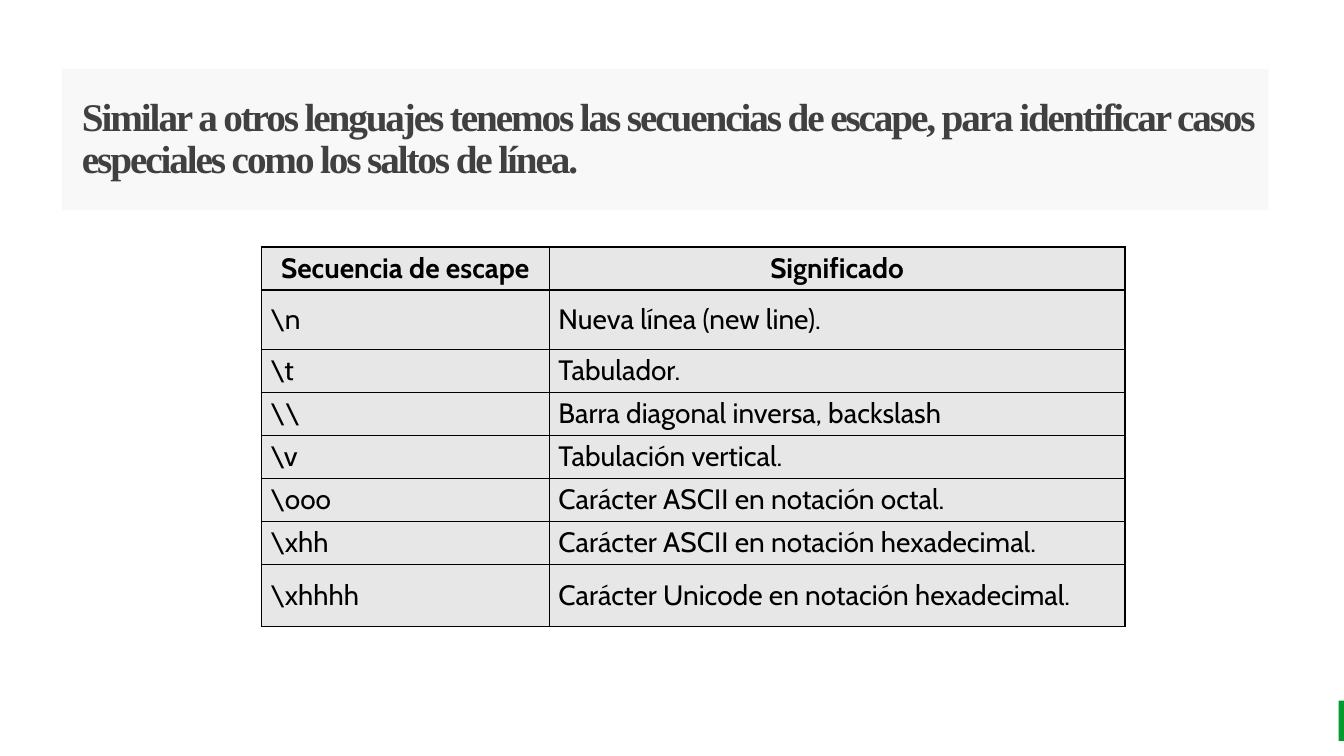
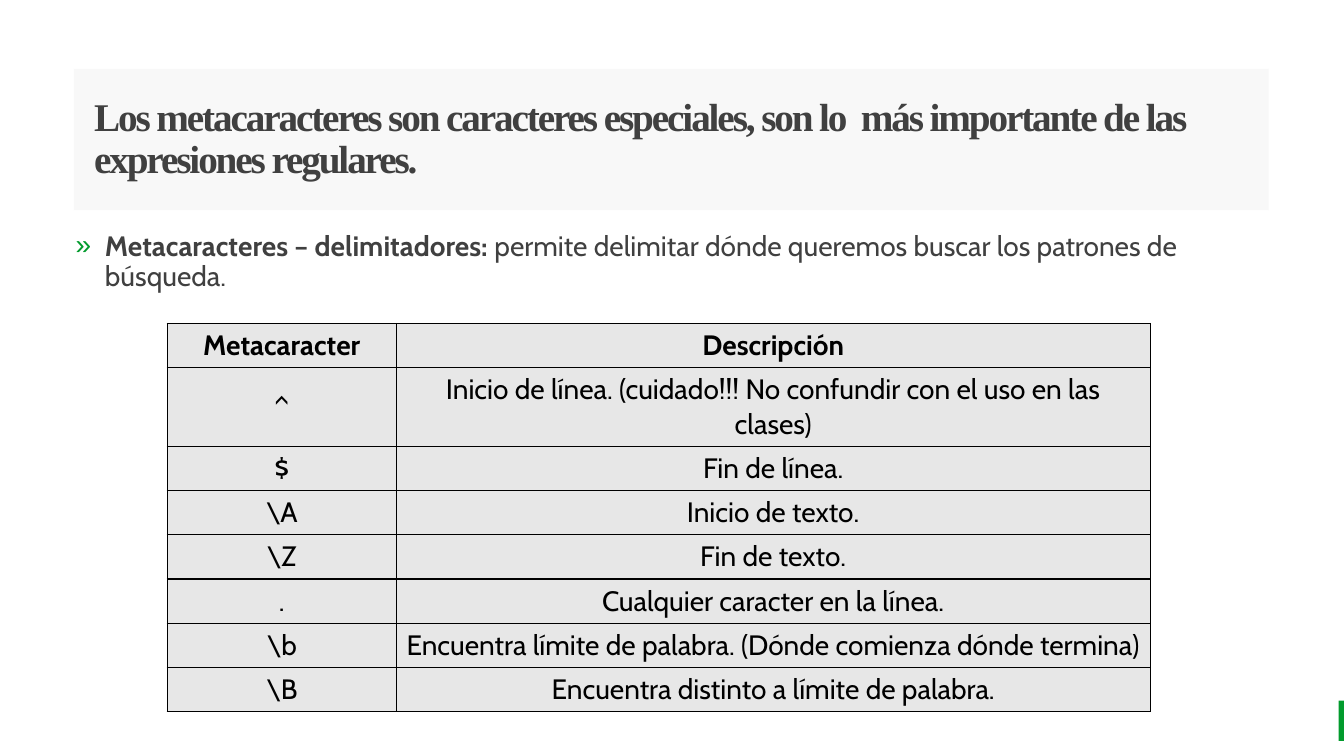
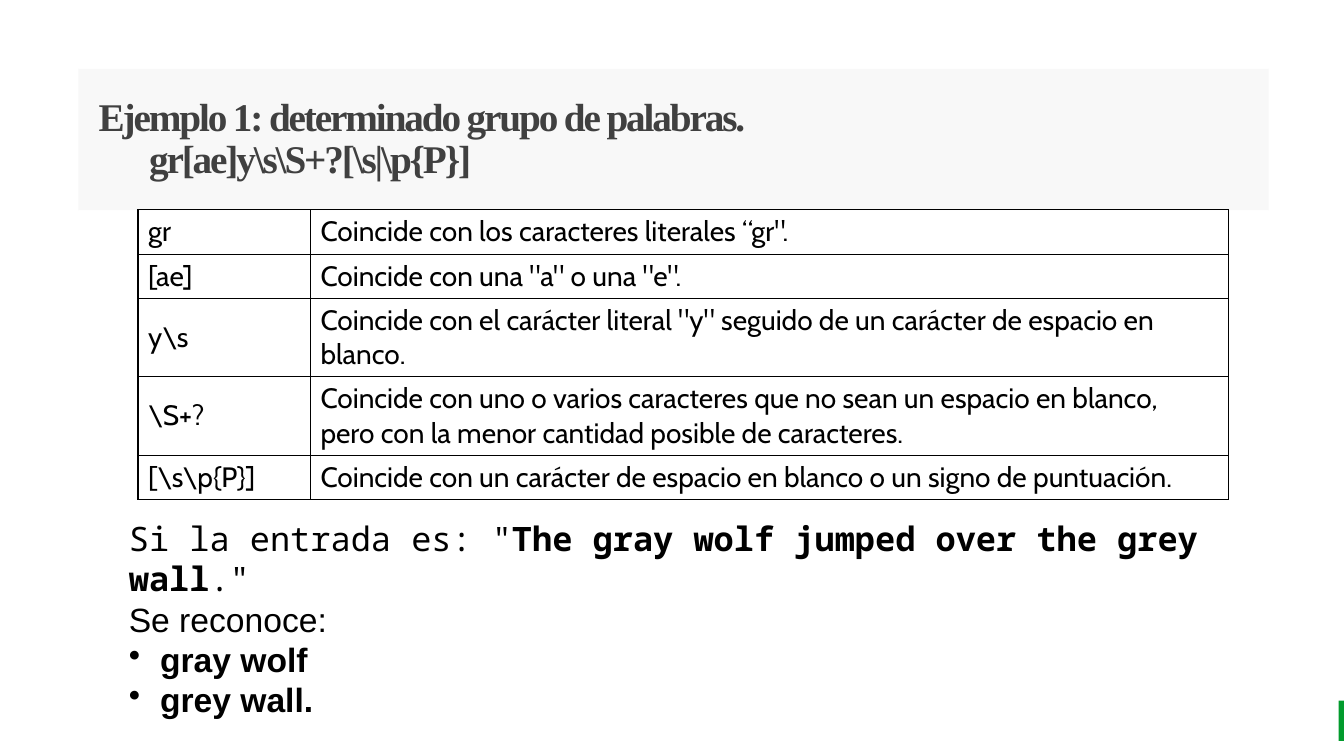
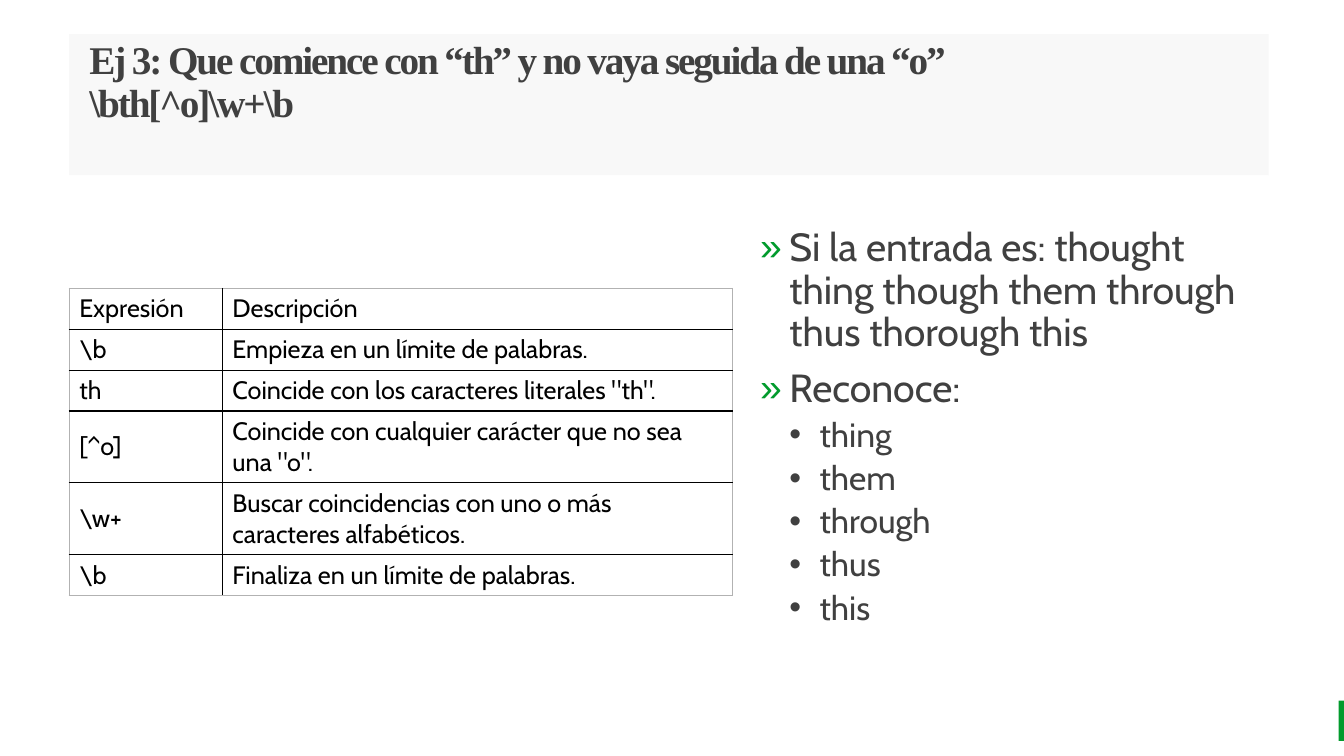
from dataclasses import dataclass, field
from typing import Any

from lxml.etree import SubElement
from pptx import Presentation
from pptx.dml.color import RGBColor
from pptx.enum.shapes import MSO_SHAPE
from pptx.enum.text import MSO_ANCHOR, MSO_AUTO_SIZE, PP_ALIGN
from pptx.oxml.ns import qn
from pptx.util import Emu, Inches, Pt

WIDE, HIGH = Inches(13.33), Inches(7.5)
BLACK = RGBColor(0x00, 0x00, 0x00)
DARK = RGBColor(0x40, 0x40, 0x40)
GREEN = RGBColor(0x02, 0x9B, 0x2D)
PALE = RGBColor(0xF2, 0xF2, 0xF2)
GREY = RGBColor(0xE7, 0xE7, 0xE7)
SOFT = RGBColor(0xB2, 0xB2, 0xB2)
SERIF, SANS, MONO, PLAIN = "Times New Roman", "Cabin", "Noto Sans Mono", "Arial"
RIGHT, BAND = 94.4, 18.67
LEFT, MID = PP_ALIGN.LEFT, PP_ALIGN.CENTER
ZERO = {"margin_top": 0, "margin_right": 0, "margin_bottom": 0}


@dataclass(frozen=True)
class Box:
    left: float
    top: float
    wide: float
    tall: float

    def spot(self) -> dict[str, Emu]:
        return {"left": across(self.left), "top": down(self.top),
                "width": across(self.wide), "height": down(self.tall)}


@dataclass(frozen=True)
class Mark:
    sign: str
    edge: float
    hang: float
    gap: float = 0
    tint: RGBColor | None = None
    level: int = 0


@dataclass(frozen=True)
class Line:
    runs: tuple[tuple[str, bool], ...]
    size: int
    face: str = SANS
    mark: Mark | None = None


@dataclass(frozen=True)
class Grid:
    left: float
    top: float
    cols: tuple[float, float]
    rows: tuple[tuple[str, str], ...]
    step: float
    tall: dict[int, float] = field(default_factory=dict)
    size: int = 20
    head: bool = False
    align: PP_ALIGN = LEFT
    fill: RGBColor | None = None
    rim: RGBColor = BLACK
    pad: tuple[float, float] = (0.1, 0.05)


@dataclass(frozen=True)
class Page:
    title: tuple[str, ...]
    left: float
    grid: Grid
    top: float = 9.12
    foot: float = 0
    body: Box | None = None
    note: Box | None = None
    lines: tuple[Line, ...] = ()


ARROW = Mark("»", 0.29, 0.29, 10, GREEN)
DOT = Mark("•", 0.59, 0.3, 5, None, 1)
BALL = Mark("•", 0.31, 0.31)

PAGES = (
    Page(
        ("Similar a otros lenguajes tenemos las secuencias de escape, "
         "para identificar casos especiales como los saltos de línea.",),
        4.6,
        Grid(19.43, 32.67, (21.45, 42.83), (
            ("Secuencia de escape", "Significado"),
            (r"\n", "Nueva línea (new line)."),
            (r"\t", "Tabulador."),
            (r"\\", "Barra diagonal inversa, backslash"),
            (r"\v", "Tabulación vertical."),
            (r"\ooo", "Carácter ASCII en notación octal."),
            (r"\xhh", "Carácter ASCII en notación hexadecimal."),
            (r"\xhhhh", "Carácter Unicode en notación hexadecimal."),
        ), 5.69, {1: 7.85, 7: 8.27}, head=True, fill=GREY, pad=(0.09, 0.04)),
    ),
    Page(
        ("Los metacaracteres son caracteres especiales, son lo  más "
         "importante de las expresiones regulares.",),
        5.5,
        Grid(12.45, 42.8, (17.03, 56.11), (
            ("Metacaracter", "Descripción"),
            ("^", "Inicio de línea. (cuidado!!! No confundir con el uso en las clases)"),
            ("$", "Fin de línea."),
            (r"\A", "Inicio de texto."),
            (r"\Z", "Fin de texto."),
            (".", "Cualquier caracter en la línea."),
            (r"\b", "Encuentra límite de palabra. (Dónde comienza dónde termina)"),
            (r"\B", "Encuentra distinto a límite de palabra."),
        ), 5.84, {1: 10.35}, head=True, align=MID, fill=GREY),
        body=Box(5.63, 30.67, 88.75, 55.6),
        lines=(Line((("Metacaracteres – delimitadores: ", True),
                     ("permite delimitar dónde queremos buscar los patrones "
                      "de búsqueda.", False)), 20, mark=ARROW),),
    ),
    Page(
        ("Ejemplo 1: determinado grupo de palabras.",
         "\t" + r"gr[ae]y\s\S+?[\s|\p{P}]"),
        5.84,
        Grid(10.27, 27.76, (12.83, 68.33), (
            ("gr", 'Coincide con los caracteres literales “gr".'),
            ("[ae]", 'Coincide con una "a" o una "e".'),
            (r"y\s", 'Coincide con el carácter literal "y" seguido de un '
                     "carácter de espacio en blanco."),
            (r"\S+?", "Coincide con uno o varios caracteres que no sean un espacio "
                      "en blanco, pero con la menor cantidad posible de caracteres."),
            (r"[\s\p{P}]", "Coincide con un carácter de espacio en blanco o un "
                           "signo de puntuación."),
        ), 5.84, {2: 10.35, 3: 10.35}),
        note=Box(8.85, 70.4, 82.5, 22.93),
        lines=(
            Line((('Si la entrada es: "', False),
                  ("The gray wolf jumped over the grey wall", True),
                  ('."', False)), 24, MONO),
            Line((("Se reconoce:", False),), 24, PLAIN),
            *(Line(((text, True),), 24, PLAIN, BALL)
              for text in ("gray wolf", "grey wall.")),
        ),
    ),
    Page(
        ("Ej 3: Que comience con “th” y no vaya seguida de una “o”",
         r"\bth[^o]\w+\b"),
        5.15,
        Grid(5.15, 38.15, (11.4, 37.95), (
            ("Expresión", "Descripción"),
            (r"\b", "Empieza en un límite de palabras."),
            ("th", 'Coincide con los caracteres literales "th".'),
            ("[^o]", 'Coincide con cualquier carácter que no sea una "o".'),
            (r"\w+", "Buscar coincidencias con uno o más caracteres alfabéticos."),
            (r"\b", "Finaliza en un límite de palabras."),
        ), 5.4, {3: 9.5, 4: 9.5}, size=18, rim=SOFT),
        top=4.5,
        foot=0.42,
        body=Box(56.56, 30.13, 37.8, 56.13),
        lines=(
            *(Line(((text, False),), 28, mark=ARROW) for text in (
                "Si la entrada es: thought thing though them through thus "
                "thorough this", "Reconoce:")),
            *(Line(((text, False),), 24, mark=DOT)
              for text in ("thing", "them", "through", "thus", "this")),
        ),
    ),
)


def across(share: float) -> Emu:
    return Emu(round(WIDE * share / 100))


def down(share: float) -> Emu:
    return Emu(round(HIGH * share / 100))


def dress(thing: Any, look: dict[str, Any]) -> None:
    for name, value in look.items():
        setattr(thing, name, value)


def write(para: Any, text: str, face: str, size: int, bold: bool, tint: RGBColor) -> Any:
    run = para.add_run()
    run.text = text
    dress(run.font, {"name": face, "size": Pt(size), "bold": bold})
    run.font.color.rgb = tint
    return run


def paras(frame: Any, count: int) -> list[Any]:
    return [frame.paragraphs[0], *(frame.add_paragraph() for _ in range(count - 1))]


def draw_title(slide: Any, page: Page) -> None:
    title = slide.shapes.title
    dress(title, Box(page.left, page.top, RIGHT - page.left, BAND).spot())
    title.fill.solid()
    title.fill.fore_color.rgb = PALE
    for tone in title.element.spPr.iter(qn("a:srgbClr")):
        SubElement(tone, qn("a:alpha"), val="50000")
    frame = title.text_frame
    dress(frame, ZERO | {"margin_left": Inches(0.2), "margin_bottom": Inches(page.foot),
                         "word_wrap": True, "auto_size": MSO_AUTO_SIZE.NONE,
                         "vertical_anchor": MSO_ANCHOR.MIDDLE})
    for para, text in zip(paras(frame, len(page.title)), page.title):
        dress(para, {"alignment": LEFT, "line_spacing": 0.9})
        run = write(para, text, SERIF, 28, True, DARK)
        run.font.fill.solid()
        run.font.color.rgb = DARK
        run.font._element.set("spc", "-150")


def add_mark(para: Any, mark: Mark) -> None:
    para.level = mark.level
    props = para._p.get_or_add_pPr()
    props.set("marL", str(Inches(mark.edge)))
    props.set("indent", str(-Inches(mark.hang)))
    if mark.tint:
        SubElement(SubElement(props, qn("a:buClr")), qn("a:srgbClr"), val=str(mark.tint))
    SubElement(props, qn("a:buChar"), char=mark.sign)


def fill_text(frame: Any, lines: tuple[Line, ...], tint: RGBColor, pitch: float) -> None:
    for rank, (para, line) in enumerate(zip(paras(frame, len(lines)), lines)):
        if line.mark:
            add_mark(para, line.mark)
        gap = line.mark.gap if line.mark and rank else 0
        dress(para, {"alignment": LEFT, "line_spacing": pitch, "space_before": Pt(gap)})
        for text, bold in line.runs:
            write(para, text, line.face, line.size, bold, tint)


def draw_body(slide: Any, page: Page) -> None:
    body = slide.placeholders[1]
    dress(body, page.body.spot())
    dress(body.text_frame, ZERO | {"margin_left": 0, "word_wrap": True,
                                   "auto_size": MSO_AUTO_SIZE.NONE,
                                   "vertical_anchor": MSO_ANCHOR.TOP})
    fill_text(body.text_frame, page.lines, DARK, 0.9)


def draw_note(slide: Any, page: Page) -> None:
    note = slide.shapes.add_textbox(**page.note.spot())
    dress(note.text_frame, {"word_wrap": True, "vertical_anchor": MSO_ANCHOR.MIDDLE,
                            "auto_size": MSO_AUTO_SIZE.SHAPE_TO_FIT_TEXT})
    fill_text(note.text_frame, page.lines, BLACK, 1.0)


def add_edges(cell: Any, outer: dict[str, bool], rim: RGBColor) -> None:
    props = cell._tc.get_or_add_tcPr()
    for side, rimmed in outer.items():
        edge = SubElement(props, qn(f"a:ln{side}"), w=str(Pt(1)))
        paint = SubElement(edge, qn("a:solidFill"))
        SubElement(paint, qn("a:srgbClr"), val=str(rim if rimmed else BLACK))


def draw_grid(slide: Any, grid: Grid) -> None:
    talls = [grid.tall.get(row, grid.step) for row in range(len(grid.rows))]
    box = Box(grid.left, grid.top, sum(grid.cols), sum(talls))
    table = slide.shapes.add_table(len(talls), len(grid.cols), **box.spot()).table
    dress(table, {"first_row": False, "horz_banding": False})
    for col, share in zip(table.columns, grid.cols):
        col.width = across(share)
    side, edge = map(Inches, grid.pad)
    for row, (texts, tall) in enumerate(zip(grid.rows, talls)):
        table.rows[row].height = down(tall)
        head = grid.head and row == 0
        for col, text in enumerate(texts):
            cell = table.cell(row, col)
            dress(cell, {"margin_left": side, "margin_right": side, "margin_top": edge,
                         "margin_bottom": edge, "vertical_anchor": MSO_ANCHOR.MIDDLE})
            add_edges(cell, {"L": col == 0, "R": col == len(texts) - 1,
                             "T": row == 0, "B": row == len(talls) - 1}, grid.rim)
            if grid.fill:
                cell.fill.solid()
                cell.fill.fore_color.rgb = grid.fill
            else:
                cell.fill.background()
            para = cell.text_frame.paragraphs[0]
            para.alignment = MID if head else grid.align
            write(para, text, SANS, grid.size, head, BLACK)


def add_bar(deck: Any, slide: Any) -> None:
    bar = slide.shapes.add_shape(MSO_SHAPE.RECTANGLE, **Box(99.6, 92.67, 0.4, 5.33).spot())
    bar.shadow.inherit = False
    bar.fill.solid()
    bar.fill.fore_color.rgb = GREEN
    bar.line.fill.background()
    bar.element.nvSpPr.cNvPr.set("id", "99")
    deck.slide_master.shapes.element.append(bar.element)


def main() -> None:
    deck = Presentation()
    dress(deck, {"slide_width": WIDE, "slide_height": HIGH})
    for page in PAGES:
        slide = deck.slides.add_slide(deck.slide_layouts[1 if page.body else 5])
        draw_title(slide, page)
        if page.body:
            draw_body(slide, page)
        draw_grid(slide, page.grid)
        if page.note:
            draw_note(slide, page)
    add_bar(deck, deck.slides[0])
    deck.save("out.pptx")


if __name__ == "__main__":
    main()
